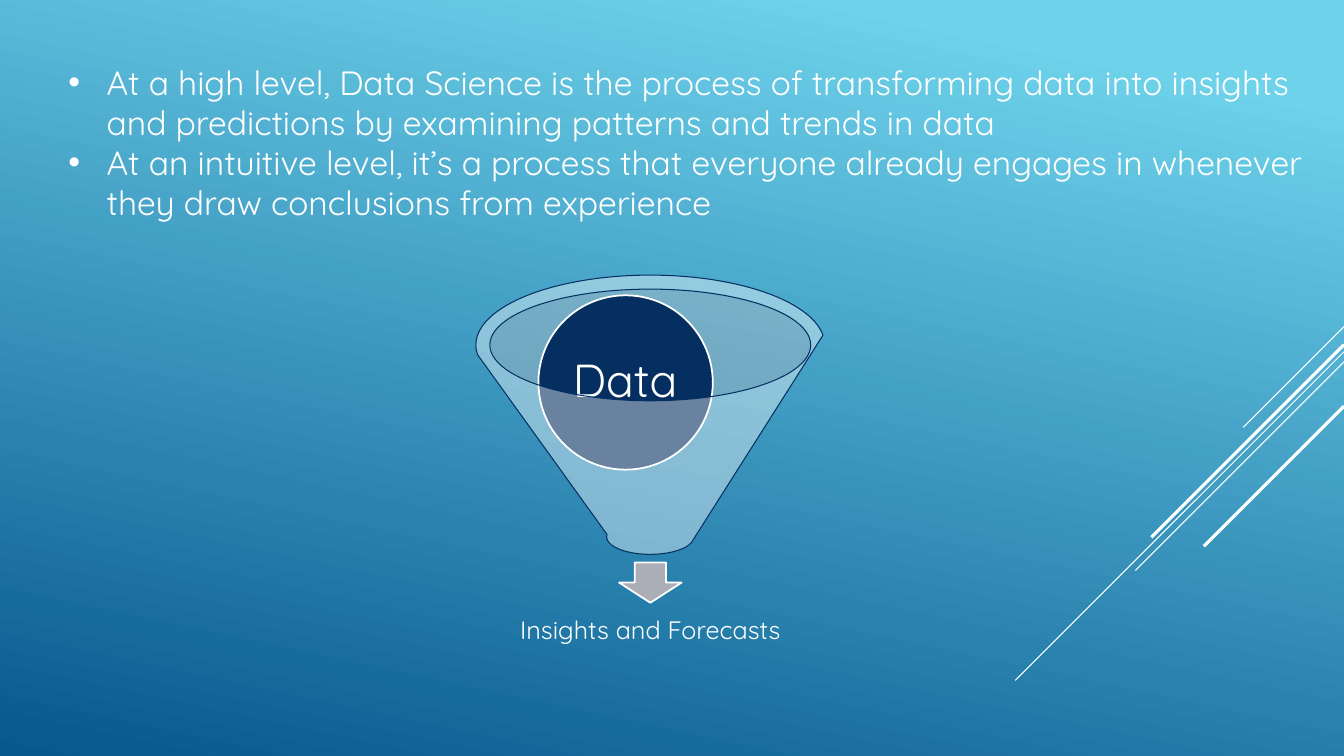
from lxml.etree import SubElement
from pptx import Presentation
from pptx.dml.color import RGBColor
from pptx.enum.shapes import MSO_CONNECTOR, MSO_SHAPE
from pptx.enum.text import MSO_ANCHOR, MSO_AUTO_SIZE, PP_ALIGN
from pptx.oxml.ns import qn
from pptx.util import Inches, Pt

COLORS = {
    "sky": "6ED2EB",
    "ocean": "06588E",
    "navy": "052F61",
    "silver": "BDBEC5",
    "gray": "ABADB7",
    "white": "FFFFFF",
}


class SlideBuilder:
    """Draws styled elements on the current slide."""

    def __init__(self, slide, font="Quicksand"):
        self.slide = slide
        self.font = font

    def color(self, name):
        return RGBColor.from_string(COLORS[name])

    def background(self, stops, angle):
        fill = self.slide.background.fill
        fill.gradient()
        fill.gradient_angle = 360 - angle
        for stop, (position, name) in zip(fill.gradient_stops, stops):
            stop.position = position
            stop.color.rgb = self.color(name)

    def line(self, start, end, width):
        points = [Inches(value) for value in (*start, *end)]
        connector = self.slide.shapes.add_connector(MSO_CONNECTOR.STRAIGHT, *points)
        connector.line.color.rgb = self.color("white")
        connector.line.width = Pt(width)
        SubElement(connector._element.spPr, qn("a:effectLst"))

    def shape(self, kind, box, fill, outline=None, width=1.25, opacity=None):
        shape = self.slide.shapes.add_shape(kind, *[Inches(value) for value in box])
        shape.shadow.inherit = False
        shape.fill.solid()
        shape.fill.fore_color.rgb = self.color(fill)
        if opacity is not None:
            color = shape._element.spPr.find(qn("a:solidFill"))[0]
            SubElement(color, qn("a:alpha"), val=str(opacity * 1000))
        if outline:
            shape.line.color.rgb = self.color(outline)
            shape.line.width = Pt(width)
        else:
            shape.line.fill.background()

    def text_box(self, box, text, size):
        shape = self.slide.shapes.add_textbox(*[Inches(value) for value in box])
        text_frame = shape.text_frame
        text_frame.word_wrap = True
        text_frame.text = text
        for paragraph in text_frame.paragraphs:
            for run in paragraph.runs:
                run.font.name = self.font
                run.font.size = Pt(size)
                run.font.color.rgb = self.color("white")
        return text_frame

    def label(self, box, text, size, inset):
        text_frame = self.text_box(box, text, size)
        text_frame.vertical_anchor = MSO_ANCHOR.MIDDLE
        text_frame.margin_left = text_frame.margin_right = Inches(inset)
        text_frame.margin_top = text_frame.margin_bottom = Inches(inset)
        paragraph = text_frame.paragraphs[0]
        paragraph.alignment = PP_ALIGN.CENTER
        paragraph.line_spacing = 0.9

    def bullets(self, box, items, size, indent):
        text_frame = self.text_box(box, "\n".join(items), size)
        text_frame.auto_size = MSO_AUTO_SIZE.SHAPE_TO_FIT_TEXT
        for paragraph in text_frame.paragraphs:
            properties = paragraph._p.get_or_add_pPr()
            properties.set("marL", str(Inches(indent)))
            properties.set("indent", str(-Inches(indent)))
            SubElement(properties, qn("a:buFont"), typeface="Arial")
            SubElement(properties, qn("a:buChar"), char="•")


def main():
    presentation = Presentation()
    presentation.slide_width = Inches(13.33)
    presentation.slide_height = Inches(7.5)
    builder = SlideBuilder(presentation.slides.add_slide(presentation.slide_layouts[6]))

    builder.background([(0.1, "sky"), (1, "ocean")], angle=102)

    right_edge = 13.33
    diagonals = [
        (3.24, 1, 0.75),
        (3.49, 3.26, 0.75),
        (3.59, 2.07, 0.75),
        (3.42, 1.91, 2.25),
        (4.03, 1.39, 2.25),
    ]
    for top, reach, width in diagonals:
        builder.line((right_edge, top), (right_edge - reach, top + reach), width)

    builder.shape(MSO_SHAPE.OVAL, (4.85, 2.87, 3.19, 1.11), "silver", opacity=40)
    builder.shape(MSO_SHAPE.DOWN_ARROW, (6.14, 5.58, 0.62, 0.4), "gray", "white")
    builder.label((4.97, 5.89, 2.96, 0.74), "Insights and Forecasts", 18, inset=0.14)
    builder.shape(MSO_SHAPE.OVAL, (5.34, 2.93, 1.73, 1.73), "navy", "white")
    builder.label((5.59, 3.18, 1.22, 1.22), "Data", 33, inset=0.05)
    builder.shape(MSO_SHAPE.FUNNEL, (4.72, 2.73, 3.46, 2.77), "white", "navy", 0.75, opacity=40)

    builder.bullets(
        (0.58, 0.56, 12.44, 1.72),
        [
            "At a high level, Data Science is the process of transforming data into "
            "insights and predictions by examining patterns and trends in data",
            "At an intuitive level, it’s a process that everyone already engages in "
            "whenever they draw conclusions from experience",
        ],
        size=24,
        indent=0.38,
    )

    presentation.save("out.pptx")


if __name__ == "__main__":
    main()
